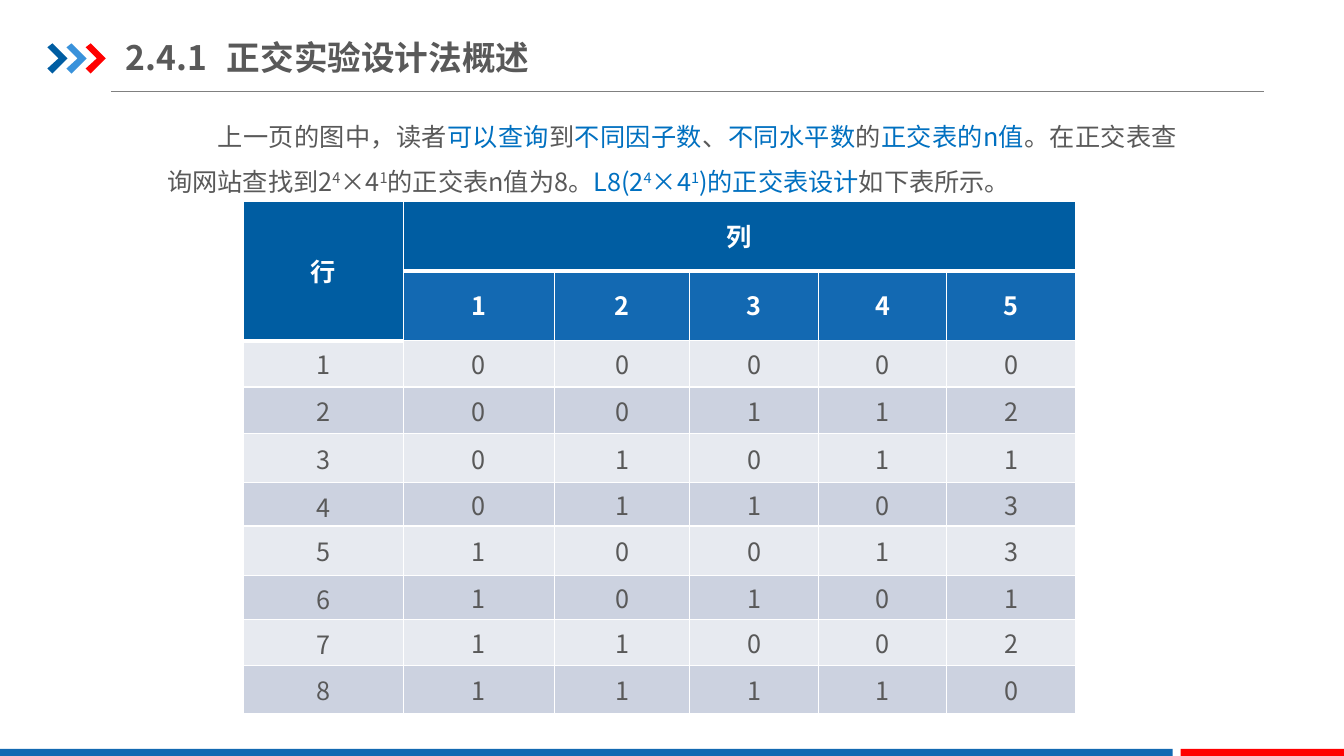
from lxml import etree
from pptx import Presentation
from pptx.dml.color import RGBColor
from pptx.enum.shapes import MSO_CONNECTOR, MSO_SHAPE
from pptx.enum.text import MSO_ANCHOR, MSO_AUTO_SIZE, PP_ALIGN
from pptx.oxml.ns import qn
from pptx.util import Inches, Pt

RECTANGLE = MSO_SHAPE.RECTANGLE
STRAIGHT = MSO_CONNECTOR.STRAIGHT
MIDDLE = MSO_ANCHOR.MIDDLE
FIT_SHAPE = MSO_AUTO_SIZE.SHAPE_TO_FIT_TEXT
CENTER, JUSTIFY = PP_ALIGN.CENTER, PP_ALIGN.JUSTIFY

FONT = "Noto Sans CJK SC"
GREY, WHITE, RED = "595959", "FFFFFF", "FF0000"
NAVY, BLUE, SKY, LINK = "005DA2", "1369B2", "3992DB", "0070C0"
BANDS = ("E7EAF0", "CCD2E0")

INTRO = [
    ("上一页的图中，读者", GREY, False),
    ("可以查询", LINK, False),
    ("到", GREY, False),
    ("不同因子数", LINK, False),
    ("、", GREY, False),
    ("不同水平数", LINK, False),
    ("的", GREY, False),
    ("正交表的n值", LINK, False),
    ("。在正交表查询网站查找到2", GREY, False),
    ("4", GREY, True),
    ("×4", GREY, False),
    ("1", GREY, True),
    ("的正交表n值为8。", GREY, False),
    ("L8(2", LINK, False),
    ("4", LINK, True),
    ("×4", LINK, False),
    ("1", LINK, True),
    (")的正交表设计", LINK, False),
    ("如下表所示。", GREY, False),
]
COLUMN_WIDTHS = (1.59, 1.5, 1.34, 1.28, 1.27, 1.28)
ROW_HEIGHTS = (0.69, 0.69, 0.46, 0.46, 0.49, 0.43, 0.49, 0.44, 0.45, 0.48)
LEVELS = ("00000", "00112", "01011", "01103", "10013", "10101", "11002", "11110")


def rgb(value):
    """Turn a hex string into a colour."""
    return RGBColor.from_string(value)


def set_font(paragraph, size, color=None, bold=False):
    """Set the paragraph's font for Latin and East Asian text."""
    font = paragraph.font
    font.name, font.size, font.bold = FONT, Pt(size), bold
    if color:
        font.color.rgb = rgb(color)
    defaults = paragraph._p.pPr.find(qn("a:defRPr"))
    etree.SubElement(defaults, qn("a:ea")).set("typeface", FONT)


def paint(shape, color):
    """Give a shape a plain fill without line or shadow."""
    shape.shadow.inherit = False
    shape.fill.solid()
    shape.fill.fore_color.rgb = rgb(color)
    shape.line.fill.background()


def add_chevron(slide, left, color):
    """Draw one right-pointing chevron of the title mark."""
    outline = [(0, 0.04), (0.05, 0), (0.2, 0.15), (0.05, 0.3), (0, 0.25), (0.11, 0.15)]
    points = [(Inches(left + x), Inches(0.43 + y)) for x, y in outline]
    builder = slide.shapes.build_freeform(*points[0])
    builder.add_line_segments(points[1:], close=True)
    paint(builder.convert_to_shape(), color)


def add_bar(slide, left, width, color):
    """Draw one bar along the slide's foot."""
    bar = slide.shapes.add_shape(
        RECTANGLE, Inches(left), Inches(7.43), Inches(width), Inches(0.09))
    paint(bar, color)


def add_rule(slide):
    """Draw the thin line under the title."""
    rule = slide.shapes.add_connector(
        STRAIGHT, Inches(1.1), Inches(0.91), Inches(12.54), Inches(0.91))
    rule.line.color.rgb = rgb("808080")
    rule.line.width = Pt(0.75)
    etree.SubElement(rule._element.spPr, qn("a:effectLst"))


def add_text_frame(slide, left, top, width, height):
    """Add a wrapping text box and return its frame."""
    box = slide.shapes.add_textbox(
        Inches(left), Inches(top), Inches(width), Inches(height))
    box.text_frame.word_wrap = True
    return box.text_frame


def add_title(slide):
    """Write the section title."""
    frame = add_text_frame(slide, 1.25, 0.29, 4.26, 0.55)
    frame.vertical_anchor = MIDDLE
    frame.margin_left = frame.margin_right = 0
    frame.margin_top = frame.margin_bottom = Inches(0.07)
    title = frame.paragraphs[0]
    title.text = "2.4.1\t正交实验设计法概述"
    set_font(title, 24, GREY, True)


def add_intro(slide):
    """Write the introduction with highlights and superscripts."""
    frame = add_text_frame(slide, 1.56, 1, 10.21, 0.96)
    frame.auto_size = FIT_SHAPE
    intro = frame.paragraphs[0]
    intro.alignment, intro.line_spacing = JUSTIFY, 1.5
    intro._p.get_or_add_pPr().set("indent", str(Inches(0.5)))
    set_font(intro, 18)
    for words, color, raised in INTRO:
        run = intro.add_run()
        run.text = words
        run.font.color.rgb = rgb(color)
        if raised:
            run._r.get_or_add_rPr().set("baseline", "30000")


def set_borders(cell, top, bottom):
    """Draw white cell borders with the given top and bottom widths."""
    properties = cell._tc.get_or_add_tcPr()
    widths = {"a:lnL": 1, "a:lnR": 1, "a:lnT": top, "a:lnB": bottom}
    for index, (tag, width) in enumerate(widths.items()):
        border = etree.Element(qn(tag), w=str(Pt(width)))
        fill = etree.SubElement(border, qn("a:solidFill"))
        etree.SubElement(fill, qn("a:srgbClr")).set("val", WHITE)
        properties.insert(index, border)


def fill_cell(cell, text, fill, header):
    """Write and colour one table cell."""
    cell.fill.solid()
    cell.fill.fore_color.rgb = rgb(fill)
    cell.vertical_anchor = MIDDLE
    entry = cell.text_frame.paragraphs[0]
    entry.text = text
    entry.alignment = CENTER
    if header:
        entry.line_spacing = 0.9
    set_font(entry, 18, WHITE if header else GREY, header)


def add_orthogonal_table(slide):
    """Build the L8 orthogonal array with its two header rows."""
    rows = [["行", "列", "", "", "", ""], ["", *"12345"]]
    rows += [[str(number), *levels] for number, levels in enumerate(LEVELS, 1)]
    table = slide.shapes.add_table(
        len(rows), len(COLUMN_WIDTHS), Inches(2.41), Inches(2),
        Inches(sum(COLUMN_WIDTHS)), Inches(sum(ROW_HEIGHTS))).table
    for column, width in zip(table.columns, COLUMN_WIDTHS):
        column.width = Inches(width)
    for row, height in zip(table.rows, ROW_HEIGHTS):
        row.height = Inches(height)
    for r, entries in enumerate(rows):
        for c, text in enumerate(entries):
            cell = table.cell(r, c)
            header = r < 2
            if header:
                fill = NAVY if r == 0 or c == 0 else BLUE
            else:
                fill = BANDS[r % 2]
            fill_cell(cell, text, fill, header)
            if not header and c > 0:
                cell.margin_left = cell.margin_right = Inches(0.07)
                cell.margin_top = cell.margin_bottom = 0
            thick_bottom = r == 0 or (r == 1 and c == 0)
            thick_top = r == 1 or (r == 2 and c == 0)
            set_borders(cell, 3 if thick_top else 1, 3 if thick_bottom else 1)
    table.cell(0, 0).merge(table.cell(1, 0))
    table.cell(0, 1).merge(table.cell(0, 5))


def main():
    """Build the slide and save it."""
    deck = Presentation()
    deck.slide_width, deck.slide_height = Inches(13.33), Inches(7.5)
    slide = deck.slides.add_slide(deck.slide_layouts[6])
    add_rule(slide)
    for position, color in enumerate((NAVY, SKY, RED)):
        add_chevron(slide, 0.47 + 0.19 * position, color)
    add_bar(slide, 0, 11.63, BLUE)
    add_bar(slide, 11.71, 1.63, RED)
    add_intro(slide)
    add_title(slide)
    add_orthogonal_table(slide)
    deck.save("out.pptx")


if __name__ == "__main__":
    main()
